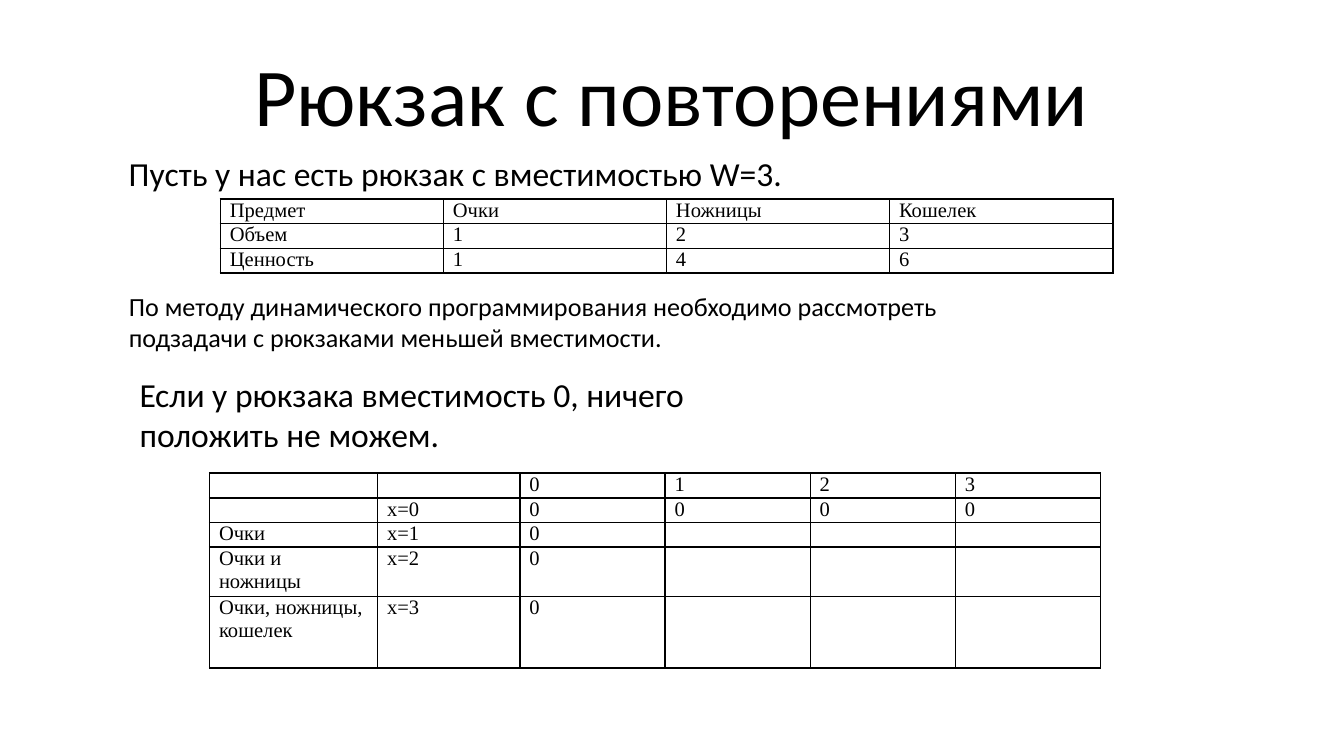
from dataclasses import dataclass

from lxml import etree
from pptx import Presentation
from pptx import util as u
from pptx.dml import color
from pptx.enum import text
from pptx.oxml import ns


@dataclass(frozen=True)
class Theme:
    ink: str = "000000"
    body_font: str = "Calibri"
    table_font: str = "Times New Roman"
    title_size: int = 44
    lead_size: int = 18
    note_size: int = 14
    table_size: int = 11
    border_width: int = 1


THEME = Theme()

ITEMS = [
    ["Предмет", "Очки", "Ножницы", "Кошелек"],
    ["Объем", "1", "2", "3"],
    ["Ценность", "1", "4", "6"],
]
SUBTASKS = [
    ["", "", "0", "1", "2", "3"],
    ["", "x=0", "0", "0", "0", "0"],
    ["Очки", "x=1", "0", "", "", ""],
    ["Очки и ножницы", "x=2", "0", "", "", ""],
    ["Очки, ножницы, кошелек", "x=3", "0", "", "", ""],
]


def write(para, words, *, size, font=THEME.body_font, align=text.PP_ALIGN.LEFT):
    para.alignment = align
    if not words:
        # The end mark keeps an empty row from growing to the default size.
        end_mark = etree.SubElement(para._p, ns.qn("a:endParaRPr"))
        end_mark.set("sz", str(size * 100))
        return
    span = para.add_run()
    span.text = words
    span.font.size = u.Pt(size)
    span.font.name = font
    span.font.color.rgb = color.RGBColor.from_string(THEME.ink)


def add_text(slide, words, left, top, width, height,
             anchor=text.MSO_ANCHOR.TOP, **style):
    box = slide.shapes.add_textbox(
        u.Inches(left), u.Inches(top), u.Inches(width), u.Inches(height))
    frame = box.text_frame
    frame.word_wrap = True
    frame.vertical_anchor = anchor
    write(frame.paragraphs[0], words, **style)


def add_borders(cell):
    properties = cell._tc.get_or_add_tcPr()
    for side in ("lnL", "lnR", "lnT", "lnB"):
        line = etree.SubElement(properties, ns.qn(f"a:{side}"))
        line.set("w", str(u.Pt(THEME.border_width)))
        fill = etree.SubElement(line, ns.qn("a:solidFill"))
        etree.SubElement(fill, ns.qn("a:srgbClr")).set("val", THEME.ink)


def format_cell(cell, words):
    cell.margin_left = cell.margin_right = u.Inches(0.07)
    cell.margin_top = cell.margin_bottom = 0
    add_borders(cell)
    cell.fill.background()
    write(cell.text_frame.paragraphs[0], words,
          size=THEME.table_size, font=THEME.table_font)


def add_grid(slide, rows, left, top, widths, heights):
    frame = slide.shapes.add_table(
        len(rows), len(widths), u.Inches(left), u.Inches(top),
        u.Inches(sum(widths)), u.Inches(sum(heights)))
    table = frame.table
    table.first_row = table.horz_banding = False
    for column, width in zip(table.columns, widths):
        column.width = u.Inches(width)
    for row, height, entries in zip(table.rows, heights, rows):
        row.height = u.Inches(height)
        for cell, words in zip(row.cells, entries):
            format_cell(cell, words)


def main():
    deck = Presentation()
    deck.slide_width = u.Inches(10)
    deck.slide_height = u.Inches(10 * 9 / 16)
    slide = deck.slides.add_slide(deck.slide_layouts[6])

    add_text(slide, "Рюкзак с повторениями", 0.5, 0.23, 9, 0.94,
             anchor=text.MSO_ANCHOR.MIDDLE, size=THEME.title_size,
             align=text.PP_ALIGN.CENTER)
    add_grid(slide, ITEMS, 1.64, 1.48, [1.66] * 4, [0.17] * 3)
    add_text(slide, "Пусть у нас есть рюкзак с вместимостью W=3.",
             0.86, 1.09, 7.97, 0.4, size=THEME.lead_size)
    add_text(slide, "По методу динамического программирования необходимо "
             "рассмотреть подзадачи с рюкзаками меньшей вместимости.",
             0.86, 2.11, 6.88, 0.57, anchor=text.MSO_ANCHOR.MIDDLE,
             size=THEME.note_size)
    add_text(slide, "Если у рюкзака вместимость 0, ничего положить не можем.",
             0.94, 2.73, 5, 0.71, size=THEME.lead_size)
    add_grid(slide, SUBTASKS, 1.56, 3.52,
             [1.25, 1.06] + [1.08] * 4, [0.17] * 3 + [0.35, 0.53])

    deck.save("out.pptx")


if __name__ == "__main__":
    main()
